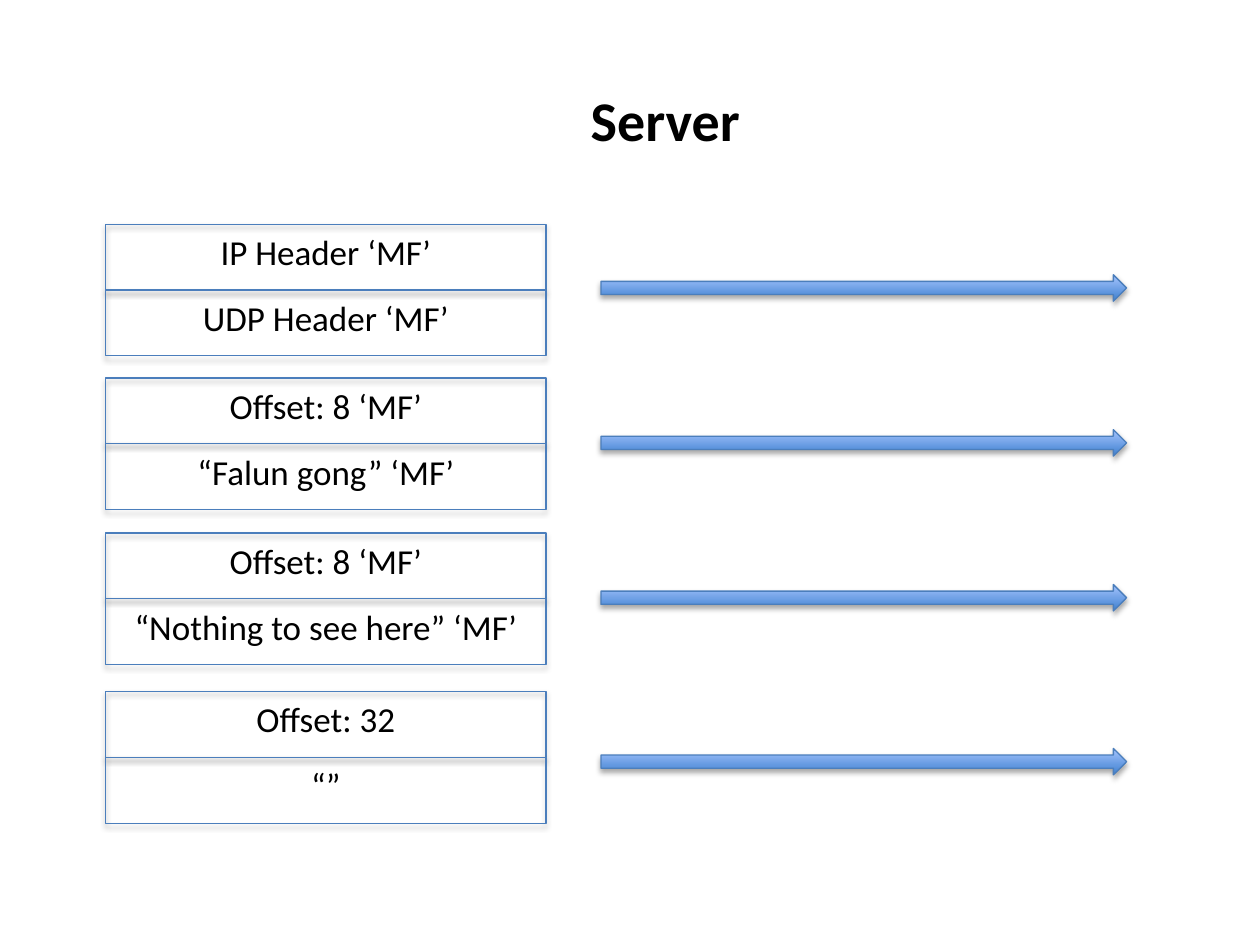
import pptx
import pptx.dml.color
import pptx.enum.shapes
import pptx.enum.text
import pptx.oxml
import pptx.oxml.ns
import pptx.util

Pt = pptx.util.Pt
SHAPES = pptx.enum.shapes.MSO_SHAPE
TEXT = pptx.enum.text

ROW_HEIGHT = 37.6
ARROW_HEIGHT = 15.1
PACKETS = [
    (128.2, 157, ["IP Header ‘MF’", "UDP Header ‘MF’"]),
    (216, 245.5, ["Offset: 8 ‘MF’", "“Falun gong” ‘MF’"]),
    (304.6, 334, ["Offset: 8 ‘MF’", "“Nothing to see here” ‘MF’"]),
    (395.3, 427.7, ["Offset: 32", "“”"]),
]


def color(value):
    return pptx.dml.color.RGBColor.from_string(value)


def apply(target, values):
    for name, value in values.items():
        setattr(target, name, value)


def place(box):
    return [Pt(length) for length in box]


def write(frame, text, size, bold, **layout):
    apply(frame, layout)
    para = frame.paragraphs[0]
    para.alignment = TEXT.PP_ALIGN.CENTER
    span = para.add_run()
    span.text = text
    apply(span.font, {"name": "Calibri", "size": Pt(size), "bold": bold})
    span.font.color.rgb = color("000000")


def add_shadow(shape):
    shape.shadow.inherit = False
    effects = shape._element.spPr.find(pptx.oxml.ns.qn("a:effectLst"))
    effects.append(pptx.oxml.parse_xml(
        f'<a:outerShdw {pptx.oxml.ns.nsdecls("a")} blurRad="{Pt(3.1)}" '
        f'dist="{Pt(1.8)}" dir="5400000" rotWithShape="0">'
        '<a:srgbClr val="000000"><a:alpha val="35000"/></a:srgbClr>'
        '</a:outerShdw>'))


def add_outlined(page, kind, box):
    shape = page.shapes.add_shape(kind, *place(box))
    shape.line.color.rgb = color("4B7EBC")
    shape.line.width = Pt(0.75)
    add_shadow(shape)
    return shape


def add_title(page, box):
    title = page.shapes.title
    apply(title, dict(zip(("left", "top", "width", "height"), place(box))))
    write(title.text_frame, "Server", 32, True, word_wrap=False,
          auto_size=TEXT.MSO_AUTO_SIZE.SHAPE_TO_FIT_TEXT,
          vertical_anchor=TEXT.MSO_ANCHOR.TOP)


def add_packet(page, box, rows):
    left, top, width, height = box
    row_height = height / len(rows)
    for index, text in enumerate(rows):
        row_top = top + index * row_height
        frame = add_outlined(page, SHAPES.RECTANGLE, (left, row_top, width, row_height))
        frame.fill.background()
        label = page.shapes.add_textbox(*place((left, row_top, width, 31.5)))
        write(label.text_frame, text, 20, False, word_wrap=True,
              auto_size=TEXT.MSO_AUTO_SIZE.SHAPE_TO_FIT_TEXT)


def add_arrow(page, box):
    arrow = add_outlined(page, SHAPES.RIGHT_ARROW, box)
    arrow.fill.gradient()
    arrow.fill.gradient_angle = 90
    for stop, value in zip(arrow.fill.gradient_stops, ("3F80CE", "A4C4FF")):
        stop.color.rgb = color(value)


deck = pptx.Presentation()
apply(deck, {"slide_width": Pt(720), "slide_height": Pt(540)})
page = deck.slides.add_slide(deck.slide_layouts[5])
add_title(page, (329.8, 45.4, 100.8, 46.1))
for packet_top, arrow_top, rows in PACKETS:
    add_packet(page, (60.5, packet_top, 251.5, ROW_HEIGHT * len(rows)), rows)
    add_arrow(page, (343.4, arrow_top, 300.4, ARROW_HEIGHT))
deck.save("out.pptx")
